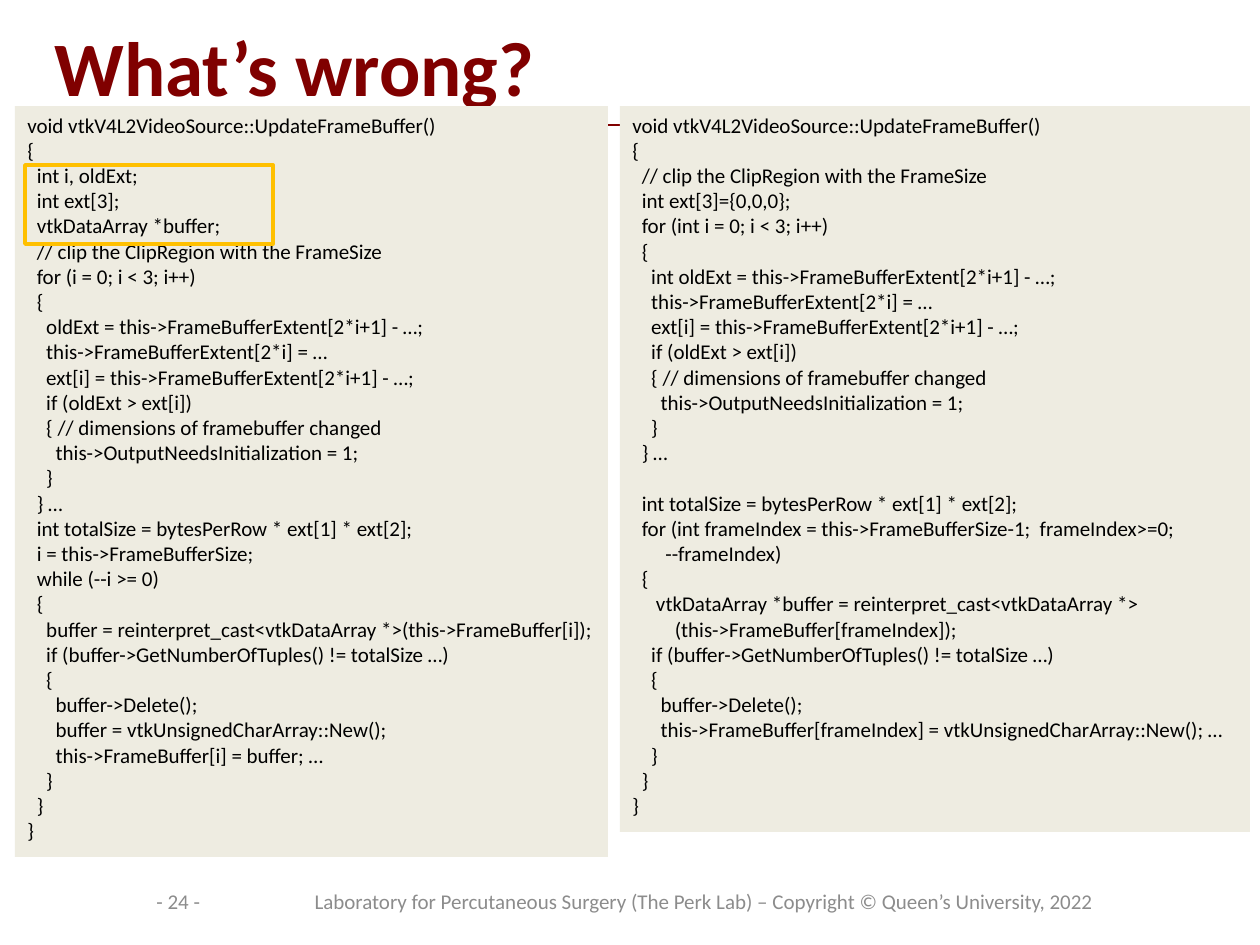
from lxml import etree
from pptx import Presentation
from pptx.dml.color import RGBColor
from pptx.enum import shapes, text
from pptx.oxml import ns
from pptx.util import Emu, Pt

PX = 914400 / 126
FONT = "Calibri"
CODE_SIZE = 12
COLORS = {
    "maroon": "800000",
    "code": "000000",
    "panel": "EEECE1",
    "footer": "8C8C8C",
    "highlight": "FFC000",
}

OLD_CODE = [
    "void vtkV4L2VideoSource::UpdateFrameBuffer()",
    "{",
    "  int i, oldExt;",
    "  int ext[3];",
    "  vtkDataArray *buffer;",
    "  // clip the ClipRegion with the FrameSize",
    "  for (i = 0; i < 3; i++)",
    "  {",
    "    oldExt = this->FrameBufferExtent[2*i+1] - …;",
    "    this->FrameBufferExtent[2*i] = …",
    "    ext[i] = this->FrameBufferExtent[2*i+1] - …;",
    "    if (oldExt > ext[i])",
    "    { // dimensions of framebuffer changed",
    "      this->OutputNeedsInitialization = 1;",
    "    }",
    "  } …",
    "  int totalSize = bytesPerRow * ext[1] * ext[2];",
    "  i = this->FrameBufferSize;",
    "  while (--i >= 0)",
    "  {",
    "    buffer = reinterpret_cast<vtkDataArray *>(this->FrameBuffer[i]);",
    "    if (buffer->GetNumberOfTuples() != totalSize …)",
    "    {",
    "      buffer->Delete();",
    "      buffer = vtkUnsignedCharArray::New();",
    "      this->FrameBuffer[i] = buffer; …",
    "    }",
    "  }",
    "}",
]

NEW_CODE = [
    "void vtkV4L2VideoSource::UpdateFrameBuffer()",
    "{",
    "  // clip the ClipRegion with the FrameSize",
    "  int ext[3]={0,0,0};",
    "  for (int i = 0; i < 3; i++)",
    "  {",
    "    int oldExt = this->FrameBufferExtent[2*i+1] - …;",
    "    this->FrameBufferExtent[2*i] = …",
    "    ext[i] = this->FrameBufferExtent[2*i+1] - …;",
    "    if (oldExt > ext[i])",
    "    { // dimensions of framebuffer changed",
    "      this->OutputNeedsInitialization = 1;",
    "    }",
    "  } …",
    "",
    "  int totalSize = bytesPerRow * ext[1] * ext[2];",
    "  for (int frameIndex = this->FrameBufferSize-1;  frameIndex>=0; \v"
    "       --frameIndex)",
    "  {",
    "     vtkDataArray *buffer = reinterpret_cast<vtkDataArray *>\v"
    "         (this->FrameBuffer[frameIndex]);",
    "    if (buffer->GetNumberOfTuples() != totalSize …)",
    "    {",
    "      buffer->Delete();",
    "      this->FrameBuffer[frameIndex] = vtkUnsignedCharArray::New(); …",
    "    }",
    "  }",
    "}",
]


def px(*lengths):
    """Turn pixel lengths into EMU."""
    return [Emu(round(length * PX)) for length in lengths]


def rgb(name):
    """Look up a named colour."""
    return RGBColor.from_string(COLORS[name])


def format_text(text_frame, size, color, bold=False, align=text.PP_ALIGN.LEFT):
    """Format every run, line break and empty line of a text frame."""
    for paragraph in text_frame.paragraphs:
        paragraph.alignment = align
        for run in paragraph.runs:
            run.font.name = FONT
            run.font.size = Pt(size)
            run.font.bold = bold
            run.font.color.rgb = rgb(color)
        for line_break in paragraph._p.findall(ns.qn("a:br")):
            etree.SubElement(line_break, ns.qn("a:rPr"), sz=str(size * 100))
        if not paragraph.runs:
            etree.SubElement(paragraph._p, ns.qn("a:endParaRPr"), sz=str(size * 100))


def add_title(slide, words, box):
    """Place and format the title placeholder."""
    title = slide.shapes.title
    title.left, title.top, title.width, title.height = px(*box)
    title.text_frame.text = words
    title.text_frame.vertical_anchor = text.MSO_ANCHOR.MIDDLE
    format_text(title.text_frame, 44, "maroon", bold=True)


def add_rule(slide, left, right, y):
    """Draw the thin line under the title."""
    rule = slide.shapes.add_connector(
        shapes.MSO_CONNECTOR.STRAIGHT, *px(left, y, right, y))
    rule.line.color.rgb = rgb("maroon")
    rule.line.width = Pt(0.75)
    etree.SubElement(rule._element.spPr, ns.qn("a:effectLst"))


def add_footer(slide, words, box, align):
    """Add a grey footer text."""
    text_frame = slide.shapes.add_textbox(*px(*box)).text_frame
    text_frame.word_wrap = True
    text_frame.vertical_anchor = text.MSO_ANCHOR.MIDDLE
    text_frame.text = words
    format_text(text_frame, 12, "footer", align=align)


def add_code(slide, lines, box):
    """Add a filled panel of code."""
    panel = slide.shapes.add_textbox(*px(*box))
    panel.fill.solid()
    panel.fill.fore_color.rgb = rgb("panel")
    text_frame = panel.text_frame
    text_frame.word_wrap = True
    text_frame.auto_size = text.MSO_AUTO_SIZE.SHAPE_TO_FIT_TEXT
    text_frame.text = "\n".join(lines)
    format_text(text_frame, CODE_SIZE, "code")


def add_highlight(slide, box):
    """Outline a group of code lines."""
    frame = slide.shapes.add_shape(shapes.MSO_SHAPE.RECTANGLE, *px(*box))
    frame.shadow.inherit = False
    frame.fill.background()
    frame.line.color.rgb = rgb("highlight")
    frame.line.width = Pt(2)


def main():
    """Build and save the slide."""
    presentation = Presentation()
    presentation.slide_width, presentation.slide_height = px(1260, 945)
    slide = presentation.slides.add_slide(presentation.slide_layouts[5])
    add_rule(slide, 84, 1190, 125)
    add_title(slide, "What’s wrong?", (42, 6, 1194, 120))
    add_footer(slide, "- 24 -", (144, 876, 128, 50), text.PP_ALIGN.LEFT)
    add_footer(
        slide,
        "Laboratory for Percutaneous Surgery (The Perk Lab) – "
        "Copyright © Queen’s University, 2022",
        (292, 876, 824, 50), text.PP_ALIGN.CENTER)
    add_code(slide, OLD_CODE, (15, 106, 593, 751))
    add_code(slide, NEW_CODE, (620, 106, 630, 726))
    add_highlight(slide, (25, 165, 248, 79))
    presentation.save("out.pptx")


if __name__ == "__main__":
    main()
